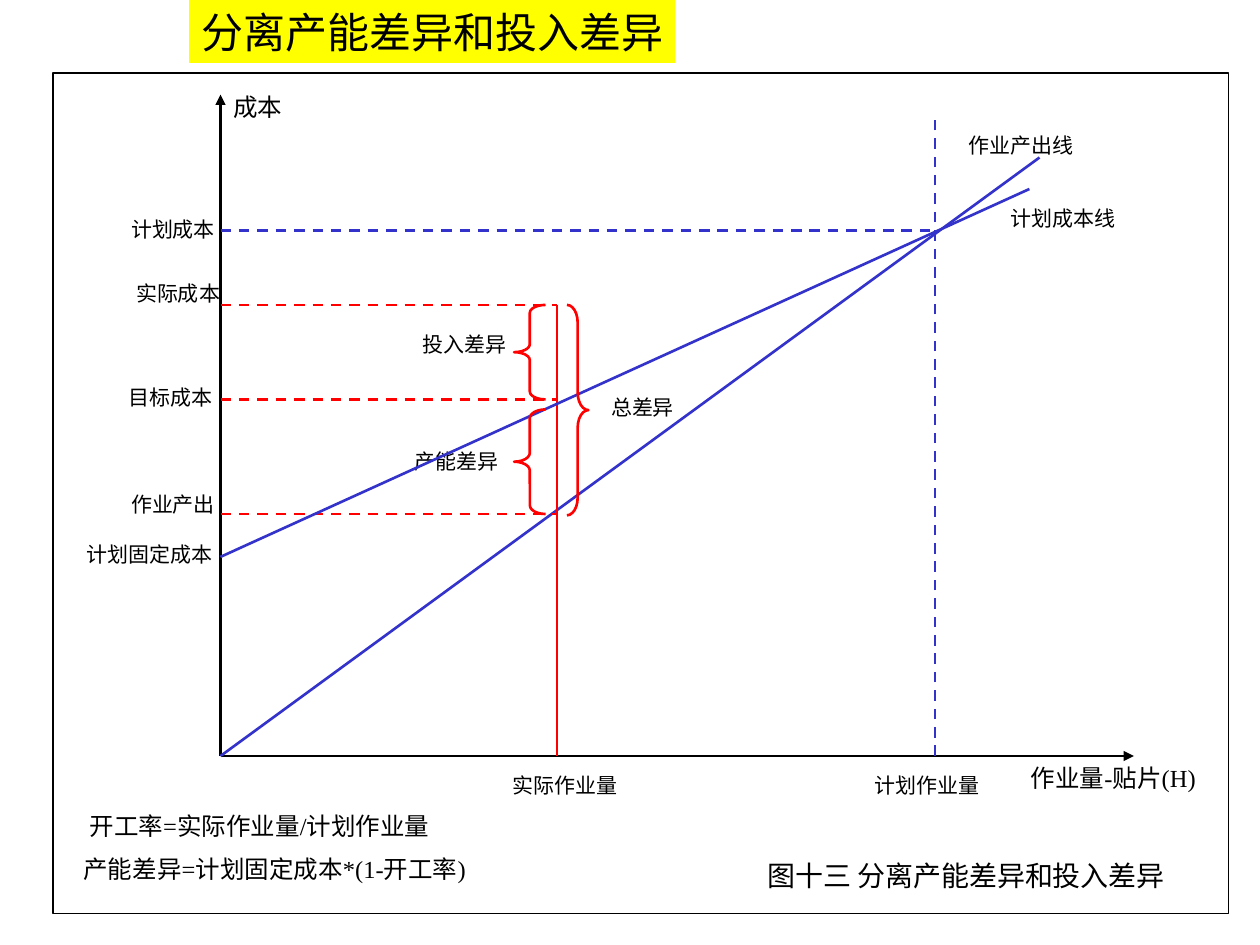
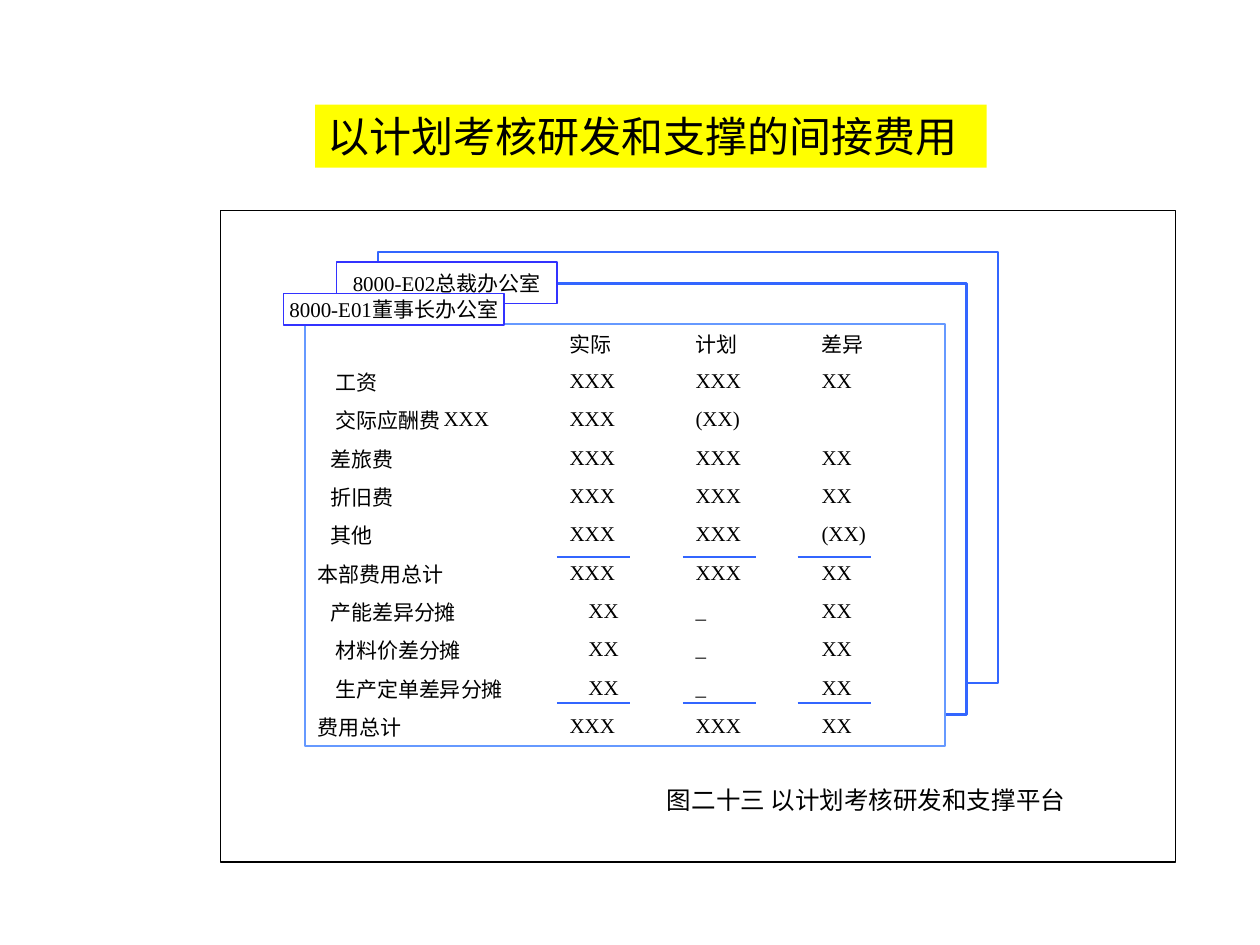
from lxml import etree
from pptx import Presentation
from pptx.dml.color import RGBColor
from pptx.enum import dml, shapes, text
from pptx.oxml.ns import qn
from pptx.util import Inches, Pt

INK = {
    "black": "000000", "white": "FFFFFF", "yellow": "FFFF00", "red": "FF0000",
    "plan": "3333CC", "sheet": "3366FF", "tag": "3333FF", "front": "6699FF",
}
LATIN, HAN = "Times New Roman", "Noto Sans CJK SC"
PLAIN_GRID = "{2D5ABB26-0587-4C30-8999-92F81FD0307C}"
LEFT, CENTER = text.PP_ALIGN.LEFT, text.PP_ALIGN.CENTER


def color(name):
    return RGBColor.from_string(INK[name])


def inches(*sizes):
    return [Inches(size) for size in sizes]


def write(frame, words, size=12, align=CENTER, face=LATIN):
    """Fill a frame with one line; centred lines get the full width."""
    frame.text = words
    frame.vertical_anchor = text.MSO_ANCHOR.MIDDLE
    if align == CENTER:
        frame.margin_left = frame.margin_right = 0
    para = frame.paragraphs[0]
    para.alignment = align
    para.space_before = Pt(0)
    font = para.font
    font.size, font.name, font.bold = Pt(size), face, False
    font.color.rgb = color("black")
    etree.SubElement(font._rPr, qn("a:ea")).set("typeface", HAN)


def add_title(slide, words, area, align):
    title = slide.shapes.title
    title.left, title.top, title.width, title.height = inches(*area)
    title.fill.solid()
    title.fill.fore_color.rgb = color("yellow")
    frame = title.text_frame
    frame.auto_size = text.MSO_AUTO_SIZE.NONE
    frame.word_wrap = False
    write(frame, words, 24, align, HAN)


def add_box(slide, area, edge, weight, words=""):
    box = slide.shapes.add_shape(shapes.MSO_SHAPE.RECTANGLE, *inches(*area))
    box.shadow.inherit = False
    box.fill.solid()
    box.fill.fore_color.rgb = color("white")
    box.line.color.rgb = color(edge)
    box.line.width = Pt(weight)
    if words:
        box.text_frame.word_wrap = False
        write(box.text_frame, words)


def add_label(slide, words, left, top, size=12, width=None):
    """Place a one-line label; the width defaults to one em per character."""
    width = width or len(words) * size / 72 + 0.2
    box = slide.shapes.add_textbox(*inches(left, top, width, size / 40))
    box.text_frame.word_wrap = False
    write(box.text_frame, words, size)


def add_line(slide, start, end, ink, dash=False, arrow=False):
    line = slide.shapes.add_connector(
        shapes.MSO_CONNECTOR.STRAIGHT, *inches(*start, *end))
    line.line.color.rgb = color(ink)
    line.line.width = Pt(1.5)
    if dash:
        line.line.dash_style = dml.MSO_LINE.DASH
    props = line._element.spPr
    if arrow:
        etree.SubElement(props.find(qn("a:ln")), qn("a:tailEnd")).set("type", "triangle")
    etree.SubElement(props, qn("a:effectLst"))


def add_brace(slide, kind, left, top, width, height):
    brace = slide.shapes.add_shape(kind, *inches(left, top, width, height))
    brace.shadow.inherit = False
    brace.fill.background()
    brace.line.color.rgb = color("red")
    brace.line.width = Pt(1.5)
    brace.adjustments[0] = height / 12 / width


def fill_cell(cell, words, indent):
    cell.fill.background()
    cell.margin_left = Inches(indent)
    cell.margin_right = cell.margin_top = cell.margin_bottom = 0
    cell.vertical_anchor = text.MSO_ANCHOR.MIDDLE
    write(cell.text_frame, words, align=LEFT)


def add_costs(slide, area, widths, rows):
    """Each row is label, label indent, first-figure indent, figures."""
    grid = slide.shapes.add_table(len(rows), len(widths), *inches(*area)).table
    props = grid._tbl.tblPr
    props.find(qn("a:tableStyleId")).text = PLAIN_GRID
    grid.first_row = grid.horz_banding = False
    for col, width in zip(grid.columns, widths):
        col.width = Inches(width)
    for r, (name, indent, shift, figures) in enumerate(rows):
        grid.rows[r].height = Inches(area[3] / len(rows))
        if not figures[0]:
            grid.cell(r, 0).merge(grid.cell(r, 1))
        fill_cell(grid.cell(r, 0), name, indent)
        for c, figure in enumerate(figures, 1):
            if c > 1 or figure:
                pad = {1: 0, 2: shift}.get(c, 0.1)
                fill_cell(grid.cell(r, c), figure, pad)


def draw_variance(slide):
    add_title(slide, "分离产能差异和投入差异", (1.5, 0, 3.86, 0.5), CENTER)
    add_box(slide, (0.42, 0.58, 9.33, 6.67), "black", 1)

    x0, y0 = 1.75, 6
    actual, plan = 4.42, 7.42
    add_line(slide, (x0, y0), (9, y0), "black", arrow=True)
    add_line(slide, (x0, y0), (x0, 0.75), "black", arrow=True)
    add_label(slide, "作业量-贴片(H)", 8.01, 6, 14, 1.65)
    add_label(slide, "成本", 1.75, 0.67, 14)

    for words, left, top in (
        ("作业产出线", 7.59, 1), ("计划成本线", 7.92, 1.58),
        ("实际作业量", 3.97, 6.08), ("计划作业量", 6.84, 6.08),
        ("计划成本", 0.94, 1.67), ("实际成本", 0.98, 2.18),
        ("目标成本", 0.92, 3), ("作业产出", 0.94, 3.85),
        ("计划固定成本", 0.59, 4.25), ("投入差异", 3.25, 2.58),
        ("产能差异", 3.19, 3.51), ("总差异", 4.75, 3.08),
    ):
        add_label(slide, words, left, top)

    add_line(slide, (x0, y0), (8.25, 1.25), "plan")
    add_line(slide, (actual, y0), (actual, 2.42), "red")
    for level in (2.42, 3.17, 4.08):
        add_line(slide, (x0, level), (actual, level), "red", dash=True)
    add_line(slide, (plan, y0), (plan, 0.92), "plan", dash=True)
    add_line(slide, (x0, 1.83), (plan, 1.83), "plan", dash=True)
    add_line(slide, (x0, 4.42), (8.17, 1.5), "plan")

    kinds = shapes.MSO_SHAPE
    add_brace(slide, kinds.LEFT_BRACE, 4.08, 2.42, 0.25, 0.75)
    add_brace(slide, kinds.LEFT_BRACE, 4.08, 3.25, 0.25, 0.83)
    add_brace(slide, kinds.RIGHT_BRACE, 4.5, 2.42, 0.17, 1.67)

    add_label(slide, "开工率=实际作业量/计划作业量", 0.52, 6.38, 14, 3.08)
    add_label(slide, "产能差异=计划固定成本*(1-开工率)", 0.45, 6.72, 14, 3.46)
    add_label(slide, "图十三 分离产能差异和投入差异", 5.92, 6.75, 16, 3.5)


def draw_review(slide):
    add_title(slide, "以计划考核研发和支撑的间接费用", (2.5, 0.83, 5.33, 0.5), LEFT)
    add_box(slide, (1.75, 1.67, 7.58, 5.17), "black", 1)
    for left, top in ((3, 2), (2.75, 2.25)):
        add_box(slide, (left, top, 4.92, 3.42), "sheet", 1.5)
    add_box(slide, (2.67, 2.08, 1.75, 0.33), "tag", 1, "8000-E02总裁办公室")

    sheet = (2.42, 2.57, 5.08, 3.35)
    add_box(slide, sheet, "front", 1.5)
    full = ("", "XXX", "XXX", "XX")
    share = ("", "XX", "_", "XX")
    add_costs(slide, sheet, (1.1, 0.9, 1, 1, 1.08), (
        ("", 0.1, 0.1, ("", "实际", "计划", "差异")),
        ("工资", 0.24, 0.1, full),
        ("交际应酬费", 0.24, 0.1, ("XXX", "XXX", "(XX)", "")),
        ("差旅费", 0.2, 0.1, full),
        ("折旧费", 0.2, 0.1, full),
        ("其他", 0.2, 0.1, ("", "XXX", "XXX", "(XX)")),
        ("本部费用总计", 0.1, 0.1, full),
        ("产能差异分摊", 0.2, 0.25, share),
        ("材料价差分摊", 0.24, 0.25, share),
        ("生产定单差异分摊", 0.24, 0.25, share),
        ("费用总计", 0.1, 0.1, full),
    ))
    for y in (4.42, 5.58):
        for x in (4.42, 5.42, 6.33):
            add_line(slide, (x, y), (x + 0.58, y), "sheet")
    add_box(slide, (2.25, 2.33, 1.75, 0.25), "tag", 1, "8000-E01董事长办公室")
    add_label(slide, "图二十三 以计划考核研发和支撑平台", 5, 6.17, 14, 3.75)


def main():
    deck = Presentation()
    deck.slide_width, deck.slide_height = inches(10, 7.5)
    for draw in (draw_variance, draw_review):
        draw(deck.slides.add_slide(deck.slide_layouts[5]))
    deck.save("out.pptx")


if __name__ == "__main__":
    main()
